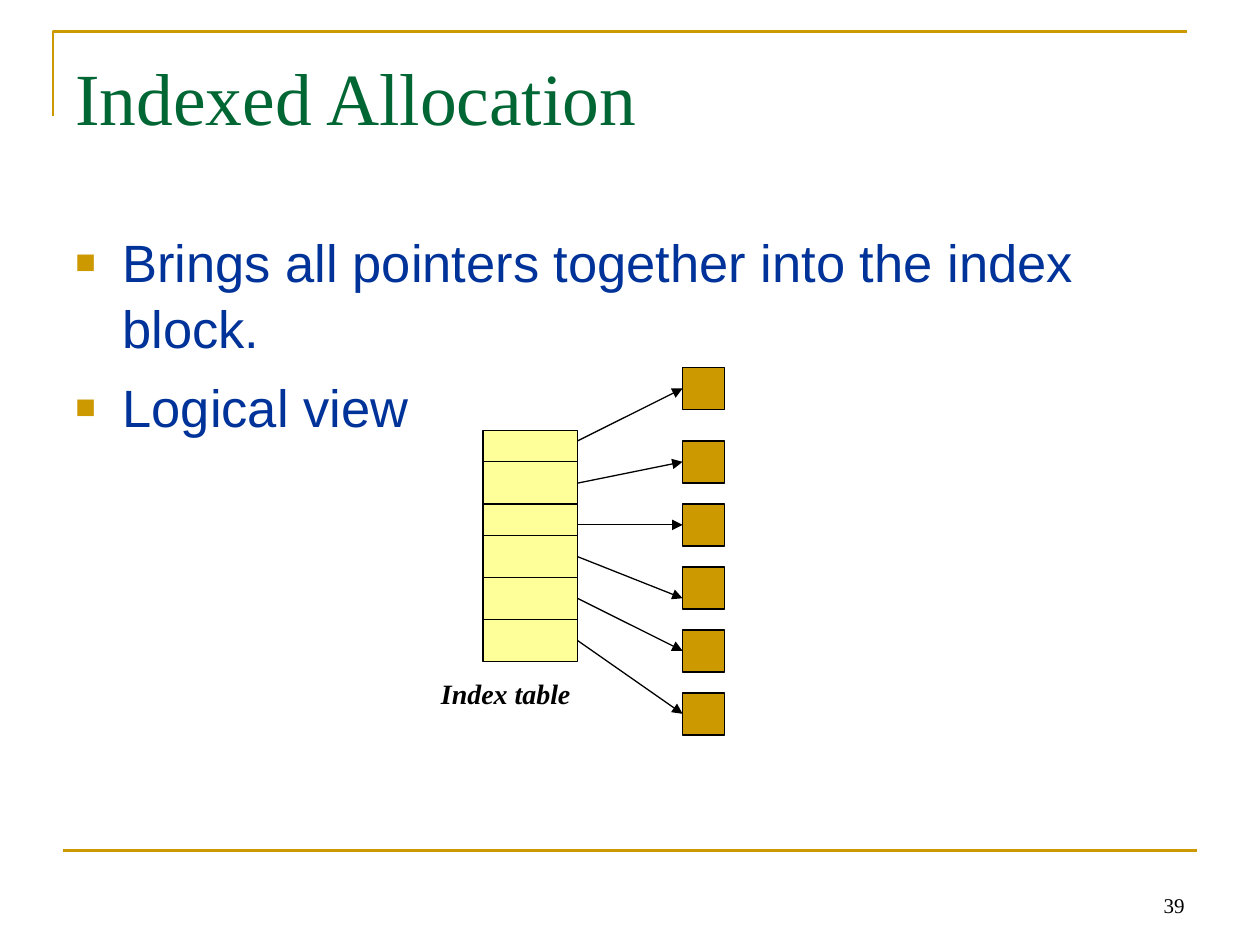
import pptx
import pptx.util
import pptx.dml.color
import pptx.enum.shapes
import pptx.enum.text
import pptx.oxml
import pptx.oxml.ns
from lxml import etree

Cm = pptx.util.Cm
Pt = pptx.util.Pt
RGBColor = pptx.dml.color.RGBColor
qn = pptx.oxml.ns.qn

GOLD = RGBColor(0xCC, 0x99, 0x00)
GREEN = RGBColor(0x00, 0x66, 0x33)
BLUE = RGBColor(0x00, 0x33, 0x99)
YELLOW = RGBColor(0xFF, 0xFF, 0x99)
BLACK = RGBColor(0x00, 0x00, 0x00)


def add_line(x1, y1, x2, y2, color=BLACK, width=0.75, arrow=False):
    c = s.shapes.add_connector(
        pptx.enum.shapes.MSO_CONNECTOR.STRAIGHT, Cm(x1), Cm(y1), Cm(x2), Cm(y2))
    c.line.color.rgb = color
    c.line.width = Pt(width)
    if arrow:
        etree.SubElement(c.line._get_or_add_ln(), qn("a:tailEnd"), type="triangle")
    etree.SubElement(c._element.spPr, qn("a:effectLst"))


def add_box(x, y, w, h, color):
    b = s.shapes.add_shape(
        pptx.enum.shapes.MSO_SHAPE.RECTANGLE, Cm(x), Cm(y), Cm(w), Cm(h))
    b.shadow.inherit = False
    b.fill.solid()
    b.fill.fore_color.rgb = color
    b.line.color.rgb = BLACK
    b.line.width = Pt(0.75)


prs = pptx.Presentation()
prs.slide_width = Cm(25.4)
prs.slide_height = Cm(19.05)
s = prs.slides.add_slide(prs.slide_layouts[6])

fb = s.shapes.build_freeform(Cm(1.07), Cm(2.34))
fb.add_line_segments([(Cm(1.07), Cm(0.64)), (Cm(23.93), Cm(0.64))], close=False)
corner = fb.convert_to_shape()
corner.shadow.inherit = False
corner.fill.background()
corner.line.color.rgb = GOLD
corner.line.width = Pt(1.5)
add_line(1.27, 17.15, 24.13, 17.15, GOLD, 1.5)

tf = s.shapes.add_textbox(Cm(1.27), Cm(0.76), Cm(22.86), Cm(3.18)).text_frame
tf.word_wrap = True
tf.margin_top = Cm(0.28)
r = tf.paragraphs[0].add_run()
r.text = "Indexed Allocation"
r.font.name = "Times New Roman"
r.font.size = Pt(42)
r.font.color.rgb = GREEN

tf = s.shapes.add_textbox(Cm(1.27), Cm(4.45), Cm(22.86), Cm(12.57)).text_frame
tf.word_wrap = True
points = ["Brings all pointers together into the index block.", "Logical view"]
for i, text in enumerate(points):
    p = tf.add_paragraph() if i else tf.paragraphs[0]
    p.space_before = Pt(7.5)
    p.line_spacing = 1.05
    pPr = p._p.get_or_add_pPr()
    pPr.set("marL", str(Cm(0.95)))
    pPr.set("indent", str(-Cm(0.95)))
    etree.SubElement(etree.SubElement(pPr, qn("a:buClr")), qn("a:srgbClr"), val=str(GOLD))
    etree.SubElement(pPr, qn("a:buSzPct"), val="65000")
    etree.SubElement(pPr, qn("a:buFont"), typeface="Arial")
    etree.SubElement(pPr, qn("a:buChar"), char="■")
    r = p.add_run()
    r.text = text
    r.font.name = "Arial"
    r.font.size = Pt(30)
    r.font.color.rgb = BLUE

table_left, table_right, block_left = 9.74, 11.64, 13.76
add_box(table_left, 8.68, table_right - table_left, 4.66, YELLOW)
for y in (9.31, 10.16, 10.8, 11.64, 12.49):
    add_line(table_left, y, table_right, y)

for y in (7.41, 8.89, 10.16, 11.43, 12.7, 13.97):
    add_box(block_left, y, 0.85, 0.85, GOLD)

pointers = [(8.89, 7.83), (9.74, 9.31), (10.58, 10.58),
            (11.22, 12.06), (12.06, 13.12), (12.91, 14.39)]
for start, end in pointers:
    add_line(table_right, start, block_left, end, arrow=True)

tf = s.shapes.add_textbox(Cm(8.64), Cm(13.51), Cm(3.12), Cm(0.94)).text_frame
tf.word_wrap = False
r = tf.paragraphs[0].add_run()
r.text = "Index table"
r.font.name = "Times New Roman"
r.font.size = Pt(16)
r.font.bold = True
r.font.italic = True
r.font.color.rgb = BLACK

tf = s.shapes.add_textbox(Cm(18.21), Cm(17.35), Cm(5.92), Cm(1.27)).text_frame
tf.word_wrap = True
tf.vertical_anchor = pptx.enum.text.MSO_ANCHOR.BOTTOM
p = tf.paragraphs[0]
p.alignment = pptx.enum.text.PP_ALIGN.RIGHT
r = p.add_run()
r.text = "39"
r.font.name = "Times New Roman"
r.font.size = Pt(12)
r.font.color.rgb = BLACK

prs.save("out.pptx")
